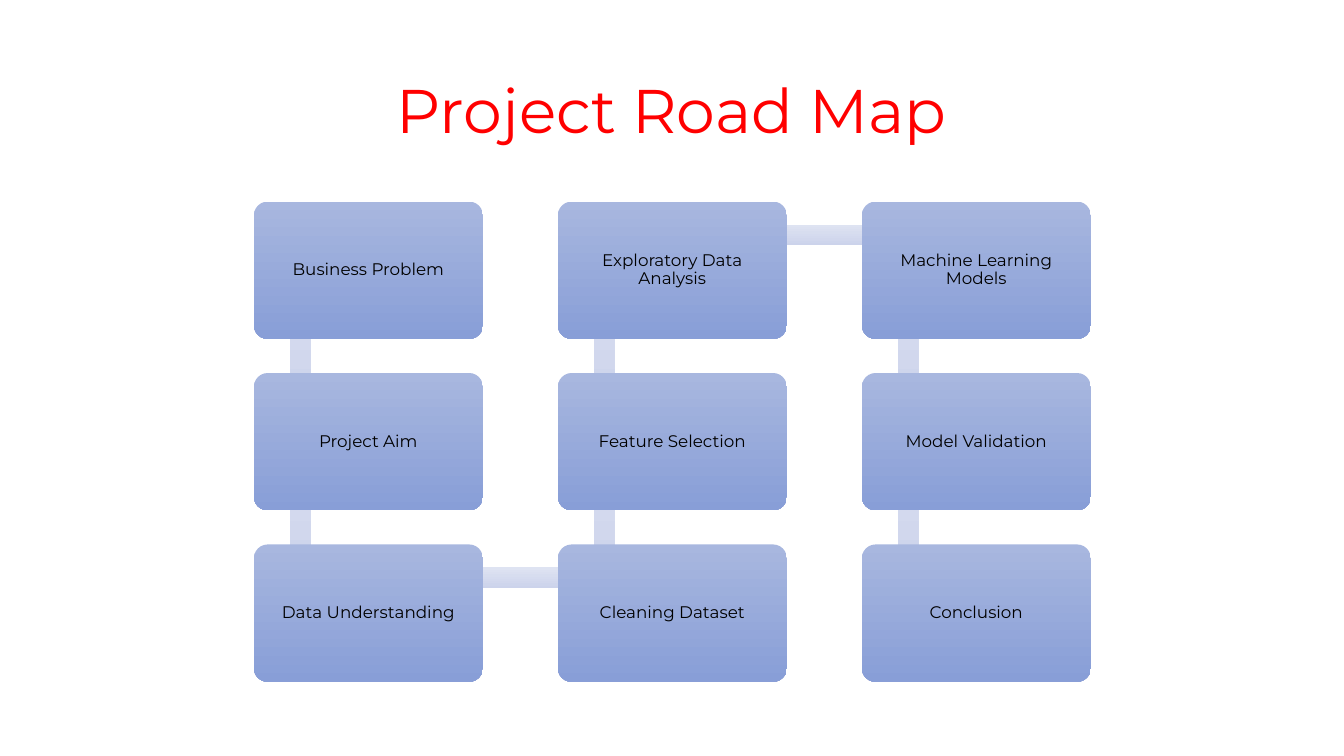
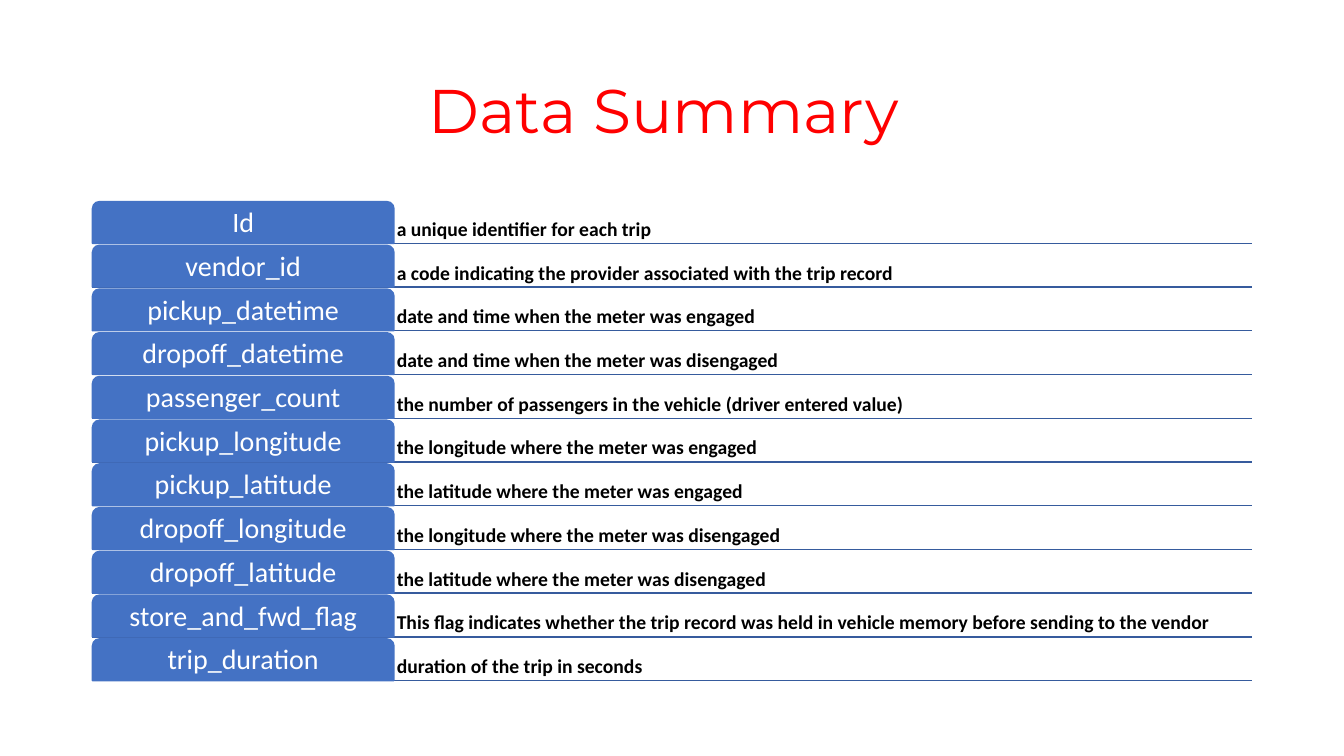
"""Build a project road map slide and a data summary slide."""
import lxml.etree
import pptx
import pptx.dml.color
import pptx.enum.shapes
import pptx.enum.text
import pptx.oxml.ns
import pptx.util

Cm = pptx.util.Cm
Pt = pptx.util.Pt
SHAPES = pptx.enum.shapes.MSO_SHAPE
ALIGN = pptx.enum.text.PP_ALIGN
ANCHOR = pptx.enum.text.MSO_ANCHOR

RED = "FF0000"
BLACK = "000000"
WHITE = "FFFFFF"
LABEL_BLUE = "4472C4"
RULE_BLUE = "365B9D"
BOX_GRADIENT = ("A8B7DF", "889ED7")
BAR_GRADIENT = ("DEE3F2", "CCD3EB")


def color(code):
    return pptx.dml.color.RGBColor.from_string(code)


def write_text(frame, text, font, size, ink, align=ALIGN.CENTER,
               anchor=ANCHOR.MIDDLE, inset=0.1, bold=False):
    frame.word_wrap = True
    frame.vertical_anchor = anchor
    frame.margin_left = frame.margin_right = Cm(inset)
    frame.margin_top = frame.margin_bottom = Cm(inset)
    para = frame.paragraphs[0]
    para.text = text
    para.alignment = align
    para.line_spacing = 0.9
    para.font.name = font
    para.font.size = Pt(size)
    para.font.bold = bold
    para.font.color.rgb = color(ink)


deck = pptx.Presentation()
deck.slide_width = Cm(33.87)
deck.slide_height = Cm(19.05)

layout = deck.slide_layouts[5]
layout_title = layout.placeholders[0]
layout_title.left, layout_title.top = Cm(2.33), Cm(1.01)
layout_title.width, layout_title.height = Cm(29.21), Cm(3.68)

pages = []
for heading in ("Project Road Map", "Data Summary "):
    page = deck.slides.add_slide(layout)
    write_text(page.shapes.title.text_frame, heading, "Montserrat", 44, RED)
    pages.append(page)
road_map, summary = pages

STEPS = [
    "Business Problem", "Project Aim", "Data Understanding",
    "Cleaning Dataset", "Feature Selection", "Exploratory Data Analysis",
    "Machine Learning Models", "Model Validation", "Conclusion",
]
ROWS = 3
COLUMN_PITCH, ROW_PITCH = 7.66, 4.32
BOX_WIDTH, BOX_HEIGHT = 5.77, 3.46
BAR_SIZE = 0.52

corners = []
for index in range(len(STEPS)):
    column, row = divmod(index, ROWS)
    if column % 2:
        row = ROWS - 1 - row
    corners.append((6.4 + column * COLUMN_PITCH, 5.08 + row * ROW_PITCH))

pieces = []
for (x, y), (next_x, next_y) in zip(corners, corners[1:]):
    if x == next_x:
        bar_area = (x + 0.91, min(y, next_y) + 0.85, BAR_SIZE, ROW_PITCH)
    else:
        bar_area = (x + 1.17, y + 0.58, COLUMN_PITCH, BAR_SIZE)
    pieces.append((SHAPES.RECTANGLE, bar_area, BAR_GRADIENT, ""))
for (x, y), step in zip(corners, STEPS):
    box_area = (x, y, BOX_WIDTH, BOX_HEIGHT)
    pieces.append((SHAPES.ROUNDED_RECTANGLE, box_area, BOX_GRADIENT, step))

for kind, area, gradient, step in pieces:
    box = road_map.shapes.add_shape(kind, *map(Cm, area))
    box.shadow.inherit = False
    box.line.fill.background()
    box.fill.gradient()
    box.fill.gradient_angle = 270
    for stop, code in zip(box.fill.gradient_stops, gradient):
        stop.color.rgb = color(code)
    if step:
        box.adjustments[0] = 0.1
        write_text(box.text_frame, step, "Montserrat", 12, BLACK, inset=0.2)

FIELDS = [
    ("Id", "a unique identifier for each trip"),
    ("vendor_id", "a code indicating the provider associated with the trip record"),
    ("pickup_datetime", "date and time when the meter was engaged"),
    ("dropoff_datetime", "date and time when the meter was disengaged"),
    ("passenger_count", "the number of passengers in the vehicle (driver entered value)"),
    ("pickup_longitude", "the longitude where the meter was engaged"),
    ("pickup_latitude", "the latitude where the meter was engaged"),
    ("dropoff_longitude", "the longitude where the meter was disengaged"),
    ("dropoff_latitude", "the latitude where the meter was disengaged"),
    ("store_and_fwd_flag", "This flag indicates whether the trip record was held in "
                           "vehicle memory before sending to the vendor"),
    ("trip_duration", "duration of the trip in seconds"),
]
LEFT, RIGHT = 2.33, 31.54
TOP, BOTTOM = 5.08, 17.15
LABEL_WIDTH = 7.6
GAP = 0.05
PITCH = (BOTTOM - TOP + GAP) / len(FIELDS)
HEIGHT = PITCH - GAP

for index, (field, meaning) in enumerate(FIELDS):
    top = TOP + index * PITCH
    rule = summary.shapes.add_connector(
        pptx.enum.shapes.MSO_CONNECTOR.STRAIGHT,
        Cm(LEFT), Cm(top + HEIGHT), Cm(RIGHT), Cm(top + HEIGHT))
    rule.line.color.rgb = color(RULE_BLUE)
    rule.line.width = Pt(1)
    lxml.etree.SubElement(rule.element.spPr, pptx.oxml.ns.qn("a:effectLst"))

    note = summary.shapes.add_textbox(
        Cm(LEFT + LABEL_WIDTH), Cm(top), Cm(RIGHT - LEFT - LABEL_WIDTH), Cm(HEIGHT))
    write_text(note.text_frame, meaning, "Calibri", 14, BLACK,
               ALIGN.LEFT, ANCHOR.BOTTOM, 0.07, True)

    label = summary.shapes.add_shape(
        SHAPES.ROUND_2_SAME_RECTANGLE, Cm(LEFT), Cm(top), Cm(LABEL_WIDTH), Cm(HEIGHT))
    label.shadow.inherit = False
    label.adjustments[0] = 0.17
    label.fill.solid()
    label.fill.fore_color.rgb = color(LABEL_BLUE)
    label.line.color.rgb = color(LABEL_BLUE)
    label.line.width = Pt(1)
    write_text(label.text_frame, field, "Calibri", 20, WHITE)

deck.save("out.pptx")
